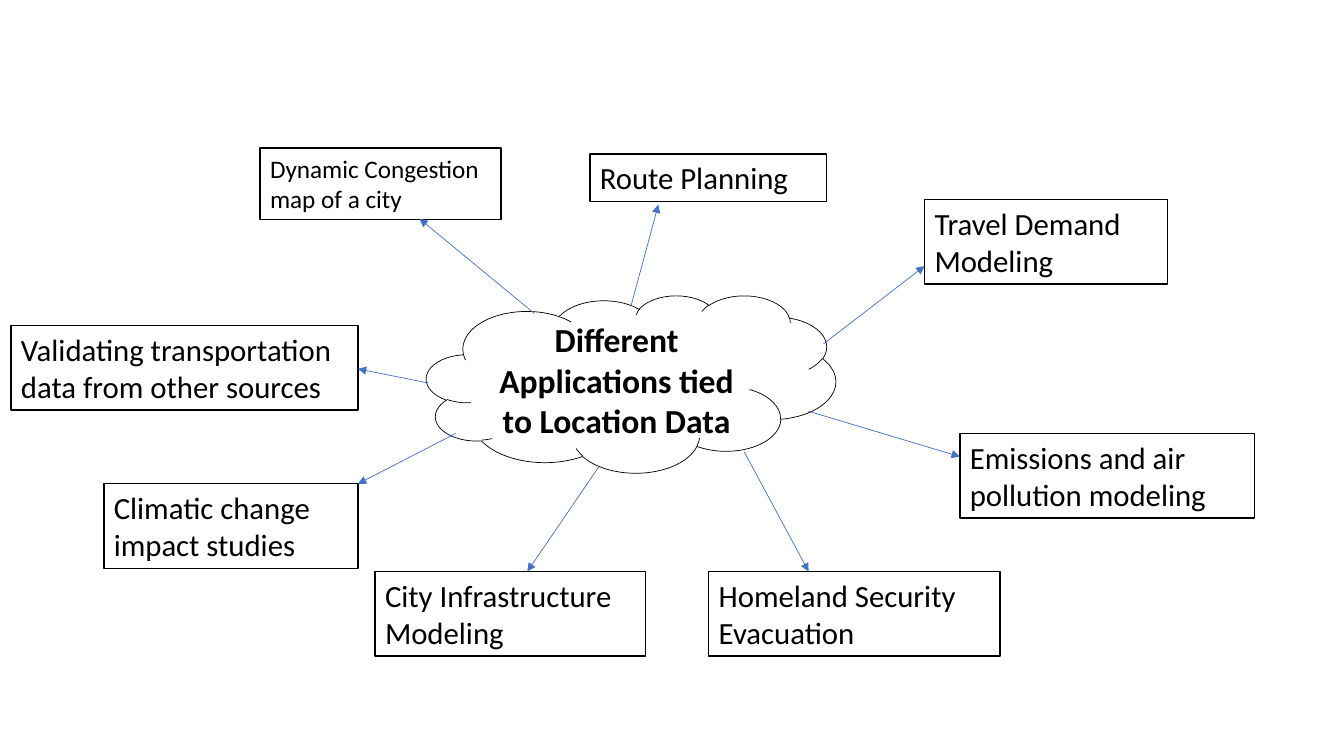
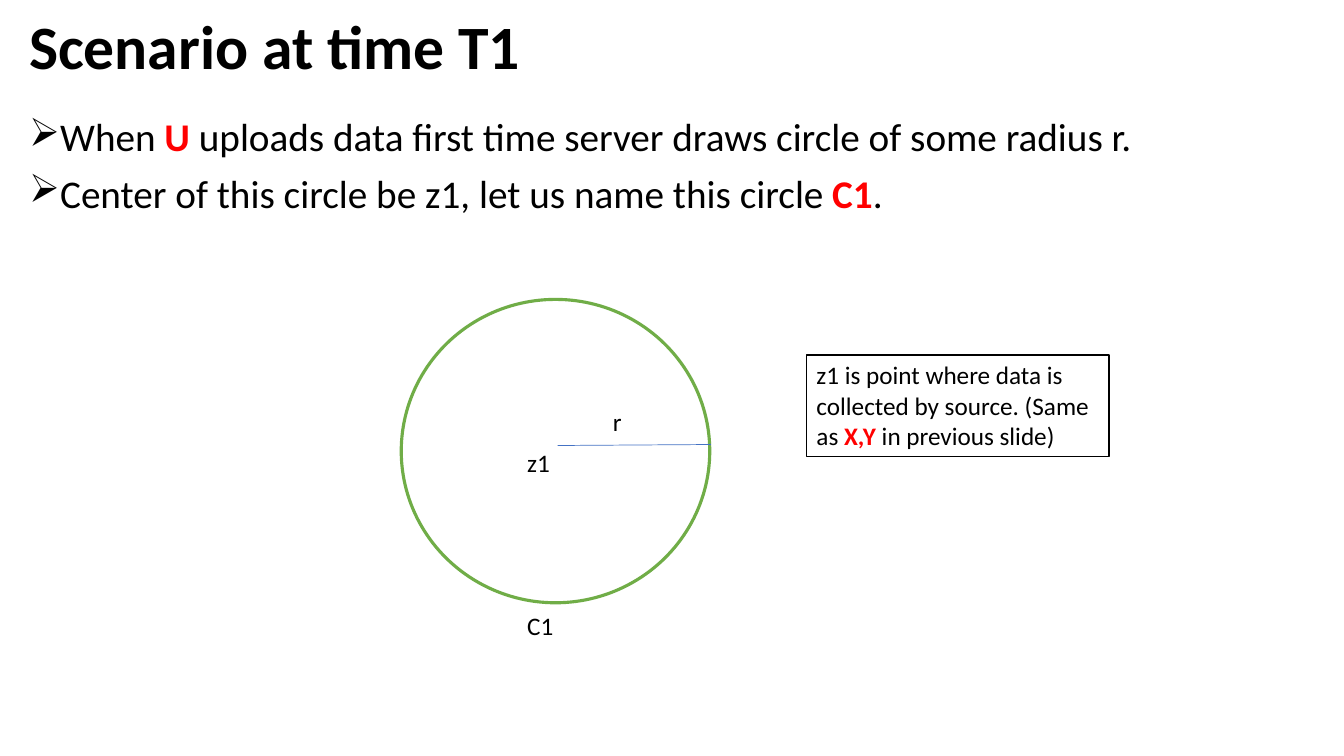
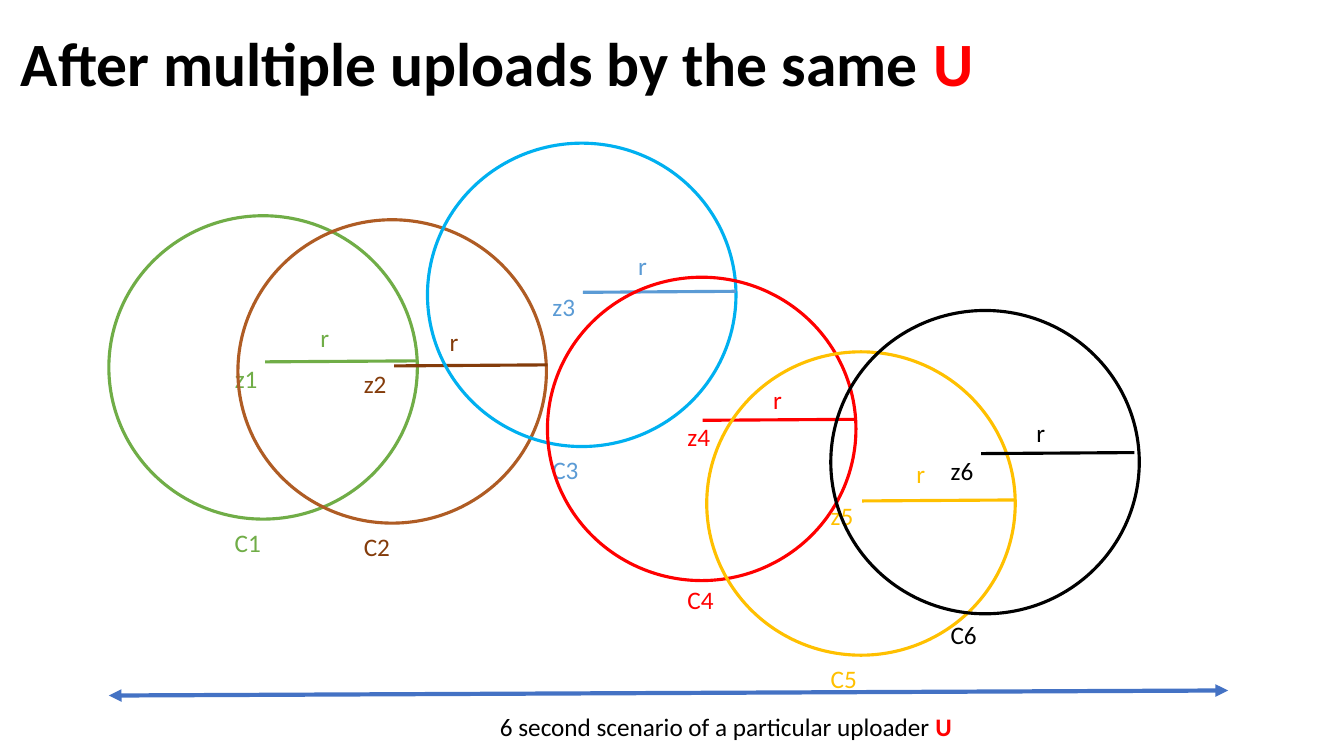
from lxml.etree import SubElement
from pptx import Presentation
from pptx.dml.color import RGBColor
from pptx.enum.shapes import MSO_CONNECTOR as LINE, MSO_SHAPE as SHAPE
from pptx.enum.text import MSO_ANCHOR as ANCHOR, MSO_AUTO_SIZE as FIT, PP_ALIGN as ALIGN
from pptx.oxml.ns import qn
from pptx.util import Pt

PX = 9144
FONT = "Calibri"
BLACK, WHITE, RED = "000000", "FFFFFF", "FF0000"
BLUE, GREEN = "4472C4", "70AD47"


def px(n):
    return n * PX


def rgb(color):
    return RGBColor.from_string(color)


def write(tf, text, size=18, color=BLACK, bold=False, align=ALIGN.LEFT,
          spacing=None, before=None, bullet=None):
    for i, line in enumerate(text.split("\n")):
        p = tf.add_paragraph() if i else tf.paragraphs[0]
        p.alignment = align
        if spacing:
            p.line_spacing = spacing
        if before:
            p.space_before = Pt(before)
        if bullet:
            pPr = p._p.get_or_add_pPr()
            pPr.set("marL", str(px(25)))
            pPr.set("indent", str(px(-25)))
            SubElement(pPr, qn("a:buChar")).set("char", bullet)
        for j, part in enumerate(line.split("|")):
            if not part:
                continue
            accent = j % 2 == 1
            r = p.add_run()
            r.text = part
            r.font.name = FONT
            r.font.size = Pt(size)
            r.font.bold = bold or accent
            r.font.color.rgb = rgb(RED if accent else color)


class Deck:
    def __init__(self):
        self.prs = Presentation()
        self.prs.slide_width = px(1333)
        self.prs.slide_height = px(750)

    def slide(self):
        self.s = self.prs.slides.add_slide(self.prs.slide_layouts[6])

    def shape(self, kind, x, y, w, h, line=BLACK, width=1, fill=WHITE):
        sp = self.s.shapes.add_shape(kind, px(x), px(y), px(w), px(h))
        sp.shadow.inherit = False
        if fill:
            sp.fill.solid()
            sp.fill.fore_color.rgb = rgb(fill)
        else:
            sp.fill.background()
        sp.line.color.rgb = rgb(line)
        sp.line.width = Pt(width)
        return sp

    def box(self, text, x, y, w, h, **fmt):
        tf = self.shape(SHAPE.RECTANGLE, x, y, w, h).text_frame
        tf.word_wrap = True
        tf.auto_size = FIT.SHAPE_TO_FIT_TEXT
        tf.vertical_anchor = ANCHOR.TOP
        write(tf, text, **fmt)

    def text(self, text, x, y, w, h, anchor=ANCHOR.TOP, fit=FIT.SHAPE_TO_FIT_TEXT, **fmt):
        tf = self.s.shapes.add_textbox(px(x), px(y), px(w), px(h)).text_frame
        tf.word_wrap = True
        tf.auto_size = fit
        tf.vertical_anchor = anchor
        write(tf, text, **fmt)

    def title(self, text, x, y, h):
        self.text(text, x, y, 1150, h, anchor=ANCHOR.MIDDLE, fit=FIT.NONE,
                  size=44, bold=True, spacing=0.9)

    def line(self, start, end, color=BLUE, width=0.5, heads=()):
        c = self.s.shapes.add_connector(LINE.STRAIGHT, *map(px, start + end))
        c.line.color.rgb = rgb(color)
        c.line.width = Pt(width)
        for head in heads:
            SubElement(c.line._get_or_add_ln(), qn(f"a:{head}")).set("type", "triangle")
        SubElement(c._element.spPr, qn("a:effectLst"))

    def circle(self, n, x, y, edge, ink, label=(115, 142), radius=(155, 145),
               radius_color=None, radius_width=2.25, fill=None):
        self.shape(SHAPE.OVAL, x, y, 306, 301, line=edge, width=2.25, fill=fill)
        rx, ry = x + radius[0], y + radius[1]
        self.line((rx, ry), (rx + 152, ry - 1), radius_color or ink, radius_width)
        lx, ly = x + label[0], y + label[1]
        self.text(f"z{n}", lx, ly, 62, 40, color=ink)
        self.text("r", lx + 85, y + 101, 39, 40, color=ink)
        self.text(f"C{n}", lx, ly + 162, 84, 40, color=ink)


def applications(d):
    d.slide()
    cloud = d.shape(SHAPE.CLOUD, 423, 293, 406, 176, width=0.5)
    cloud.text_frame.word_wrap = True
    write(cloud.text_frame, "Different Applications tied to Location Data",
          size=24, bold=True, align=ALIGN.CENTER)
    for text, size, box, start, end in (
        ("Dynamic Congestion map of a city", 18, (258, 147, 239, 71), (530, 311), (416, 217)),
        ("Route Planning", 22, (585, 153, 235, 47), (626, 303), (653, 203)),
        ("Travel Demand Modeling", 22, (917, 198, 241, 84), (817, 341), (917, 264)),
        ("Emissions and air pollution modeling", 22, (952, 430, 292, 84), (802, 408), (952, 453)),
        ("Homeland Security Evacuation", 22, (703, 567, 289, 84), (738, 448), (802, 567)),
        ("City Infrastructure Modeling", 22, (372, 567, 268, 84), (594, 463), (523, 567)),
        ("Climatic change impact studies", 22, (103, 480, 252, 84), (452, 430), (355, 480)),
        ("Validating transportation data from other sources", 22, (11, 323, 344, 84),
         (425, 380), (355, 366)),
    ):
        d.box(text, *box, size=size)
        d.line(start, end, heads=("tailEnd",))


def first_upload(d):
    d.slide()
    d.title("Scenario at time T1", 19, 0, 98)
    d.text("When |U |uploads data first time server draws circle of some radius r.\n"
           "Center of this circle be z1, let us name this circle |C1|.",
           19, 112, 1274, 598, fit=FIT.NONE, size=28, spacing=0.9, before=10, bullet="➢")
    d.circle(1, 398, 297, GREEN, BLACK, radius_color=BLUE, radius_width=0.5, fill=WHITE)
    d.box("z1 is point where data is collected by source. (Same as |X,Y| in previous slide)",
          800, 352, 300, 101)


def many_uploads(d):
    d.slide()
    d.title("After multiple uploads by the same |U", 11, 6, 120)
    d.circle(1, 108, 214, GREEN, GREEN, fill=WHITE)
    d.circle(2, 236, 218, "AF5C24", "843C0B")
    d.circle(3, 424, 142, "00B0F0", "5B9BD5", label=(114, 142), radius=(154, 148))
    d.circle(4, 543, 275, RED, RED, label=(129, 138), radius=(154, 142))
    d.circle(5, 701, 349, "FFC000", "FFC000", label=(113, 142), radius=(154, 148))
    d.circle(6, 824, 308, BLACK, BLACK, label=(109, 139), radius=(149, 142))
    d.line((108, 690), (1218, 685), width=3, heads=("headEnd", "tailEnd"))
    d.text("6 second scenario of a particular uploader |U", 486, 701, 675, 40)


def main():
    d = Deck()
    applications(d)
    first_upload(d)
    many_uploads(d)
    d.prs.save("out.pptx")


if __name__ == "__main__":
    main()
